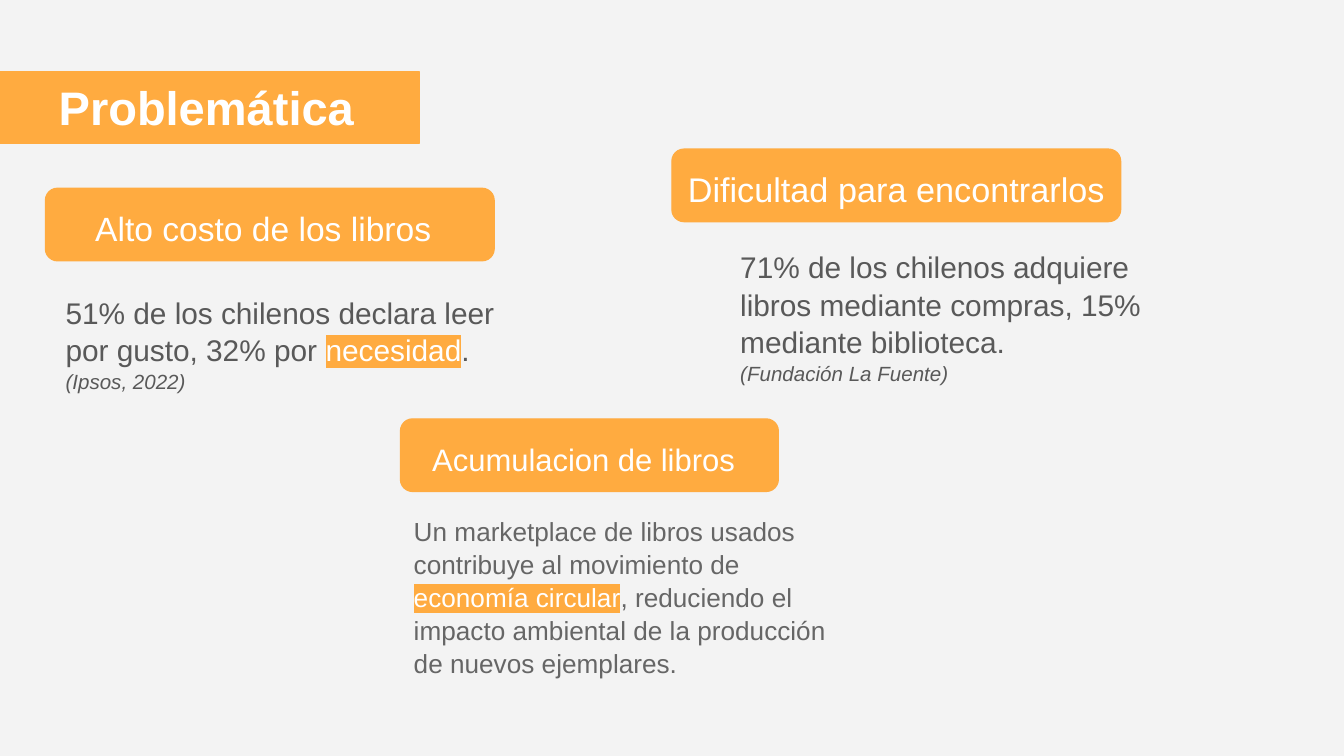
from lxml.etree import SubElement
from pptx import Presentation
from pptx.dml.color import RGBColor
from pptx.enum.shapes import MSO_SHAPE as Shape
from pptx.oxml.ns import qn
from pptx.util import Cm, Pt

ORANGE = RGBColor(0xFF, 0xAB, 0x40)
WHITE = RGBColor(0xFF, 0xFF, 0xFF)
PALE = RGBColor(0xF3, 0xF3, 0xF3)
DARK = RGBColor(0x59, 0x59, 0x59)
GREY = RGBColor(0x66, 0x66, 0x66)

INSET = 0.25
BANNER_HEIGHT = 1.37


def add_banner(slide, kind, left, top, width):
    banner = slide.shapes.add_shape(
        kind, Cm(left), Cm(top), Cm(width), Cm(BANNER_HEIGHT))
    banner.shadow.inherit = False
    banner.fill.solid()
    banner.fill.fore_color.rgb = ORANGE
    banner.line.color.rgb = ORANGE
    banner.line.width = Pt(0.75)


def add_run(paragraph, words, color, highlighted=False, **font_format):
    run = paragraph.add_run()
    run.text = words
    for name, value in {"name": "Arial", **font_format}.items():
        setattr(run.font, name, value)
    run.font.color.rgb = WHITE if highlighted else color
    if highlighted:
        properties = run.font._element
        highlight = SubElement(properties, qn("a:highlight"))
        SubElement(highlight, qn("a:srgbClr"), val=str(ORANGE))
        properties.find(qn("a:solidFill")).addnext(highlight)


def add_text_frame(slide, left, top, width, height):
    frame = slide.shapes.add_textbox(
        Cm(left), Cm(top), Cm(width), Cm(height)).text_frame
    frame_format = {"word_wrap": True}
    for side in ("left", "top", "right", "bottom"):
        frame_format[f"margin_{side}"] = Cm(INSET)
    for name, value in frame_format.items():
        setattr(frame, name, value)
    return frame


def add_heading(slide, words, size, box, line_spacing=1.15, bold=False):
    heading = add_text_frame(slide, *box).paragraphs[0]
    heading.line_spacing = line_spacing
    add_run(heading, words, WHITE, size=Pt(size), bold=bold)


def add_body(slide, box, size, color, pieces, citation=None):
    frame = add_text_frame(slide, *box)
    statement = frame.paragraphs[0]
    statement.line_spacing = 1.05
    for index, words in enumerate(pieces):
        add_run(statement, words, color, highlighted=index % 2 == 1, size=Pt(size))
    if citation:
        source = frame.add_paragraph()
        source.line_spacing = 1.05
        add_run(source, citation, color, size=Pt(11), italic=True)


def main():
    deck = Presentation()
    deck.slide_width, deck.slide_height = Cm(25.4), Cm(14.29)
    slide = deck.slides.add_slide(deck.slide_layouts[6])
    slide.background.fill.solid()
    slide.background.fill.fore_color.rgb = PALE

    add_banner(slide, Shape.RECTANGLE, 0, 1.35, 7.92)
    add_heading(slide, "Problemática", 25.2, (0.86, 1.24, 6.3, 1.6), 1, bold=True)

    topics = [
        ("Alto costo de los libros", 18, (0.86, 3.56, 8.48), (1.55, 3.56, 6.88, 1.37)),
        ("Dificultad para encontrarlos", 18.3, (12.7, 2.82, 8.48), (12.75, 2.82, 8.5, 1.22)),
        ("Acumulacion de libros", 16.6, (7.57, 7.92, 7.14), (7.92, 7.98, 6.71, 1.37)),
    ]
    for words, size, banner_place, heading_box in topics:
        add_banner(slide, Shape.ROUNDED_RECTANGLE, *banner_place)
        add_heading(slide, words, size, heading_box)

    add_body(slide, (13.74, 4.42, 8.92, 2.84), 16, DARK,
             ["71% de los chilenos adquiere libros mediante compras, 15% mediante biblioteca."],
             "(Fundación La Fuente)")
    add_body(slide, (0.99, 5.28, 9.37, 2.57), 16, DARK,
             ["51% de los chilenos declara leer por gusto, 32% por ", "necesidad", "."],
             "(Ipsos, 2022)")
    add_body(slide, (7.57, 9.47, 8.33, 3.51), 14, GREY,
             ["Un marketplace de libros usados contribuye al movimiento de ",
              "economía circular",
              ", reduciendo el impacto ambiental de la producción de nuevos ejemplares."])

    deck.save("out.pptx")


if __name__ == "__main__":
    main()
